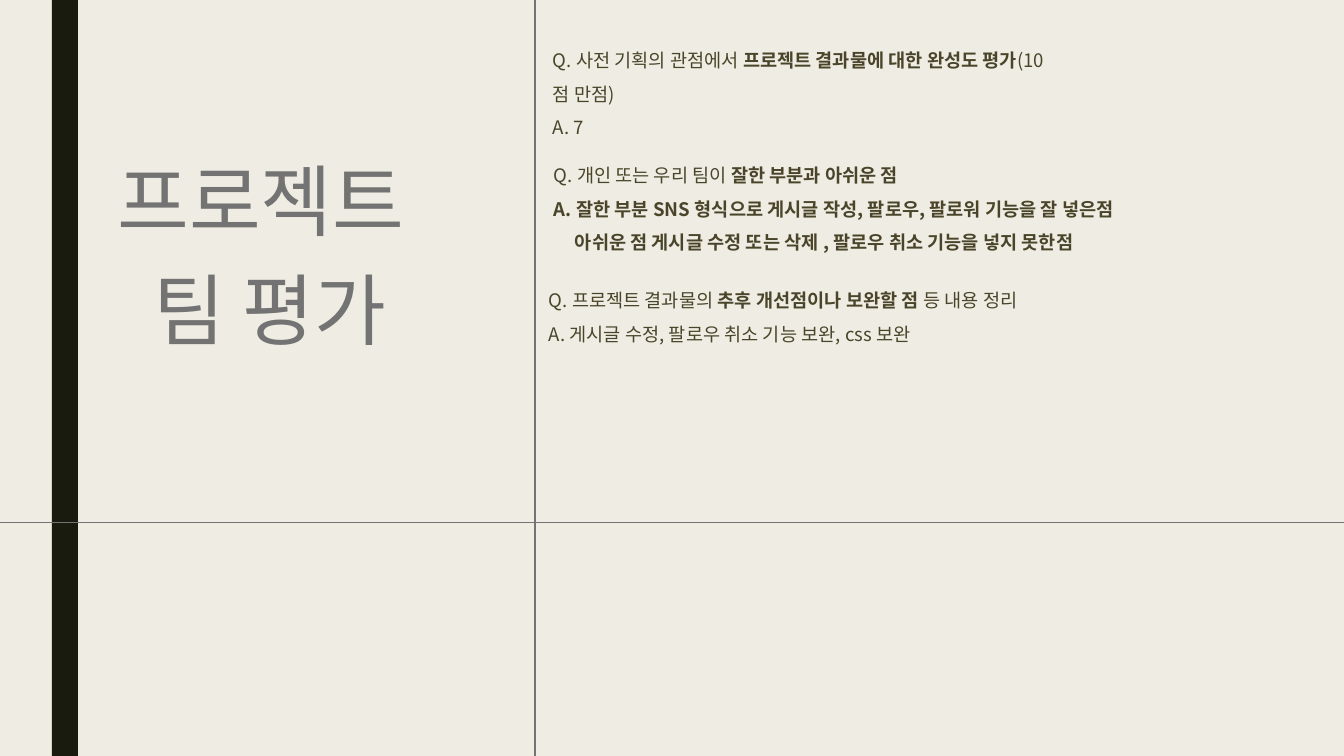
import pptx
import pptx.util
import pptx.dml.color
import pptx.enum.shapes
import pptx.enum.text
import pptx.oxml
import pptx.oxml.ns

WIDE, HIGH = 1344, 756
SCALE = 914400 / 100.8

THEME = {
    "back": "EFEDE3", "bar": "191B0E", "rule": "737373",
    "title": "737373", "body": "4A452A", "glow": "F2F2F2",
    "font": "Noto Sans CJK KR",
    "title_size": 55.7, "body_size": 13.3, "rule_size": 0.75,
}

# Each answer box: place, then paragraphs of (indent, runs of (text, bold))
NOTES = [
    ((543, 33, 513, 107), [
        (0, [("Q. 사전 기획의 관점에서 ", False),
             ("프로젝트 결과물에 대한 완성도 평가", True),
             ("(10점 만점)", False)]),
        (0, [("A. 7", False)]),
    ]),
    ((544, 148, 797, 108), [
        (0, [("Q. 개인 또는 우리 팀이 ", False),
             ("잘한 부분과 아쉬운 점", True)]),
        (0, [("A. 잘한 부분 SNS 형식으로 게시글 작성, 팔로우, "
              "팔로워 기능을 잘 넣은점", True)]),
        (21, [("아쉬운 점 게시글 수정 또는 삭제 , "
               "팔로우 취소 기능을 넣지 못한점", True)]),
    ]),
    ((539, 273, 721, 74), [
        (0, [("Q. 프로젝트 결과물의 ", False),
             ("추후 개선점이나 보완할 점 ", True),
             ("등 내용 정리", False)]),
        (0, [("A. 게시글 수정, 팔로우 취소 기능 보완, css 보완", False)]),
    ]),
]


def px(n):
    return pptx.util.Emu(round(n * SCALE))


def tint(name):
    return pptx.dml.color.RGBColor.from_string(THEME[name])


def apply(item, vals):
    for key, val in vals.items():
        setattr(item, key, val)


def add_run(para, text, kind, bold=False):
    run = para.add_run()
    run.text = text
    apply(run.font, {"name": THEME["font"], "bold": bold,
                     "size": pptx.util.Pt(THEME[kind + "_size"])})
    run.font.color.rgb = tint(kind)
    props = run.font._element
    east = pptx.oxml.parse_xml(
        f'<a:ea {pptx.oxml.ns.nsdecls("a")} typeface="{THEME["font"]}"/>')
    props.append(east)
    return props


def add_glow(props):
    # Faint outline around the letters
    props.insert(0, pptx.oxml.parse_xml(
        f'<a:ln {pptx.oxml.ns.nsdecls("a")} w="9525"><a:solidFill>'
        f'<a:srgbClr val="{THEME["glow"]}"><a:alpha val="20000"/></a:srgbClr>'
        '</a:solidFill></a:ln>'))


def add_rule(slide, x1, y1, x2, y2):
    line = slide.shapes.add_connector(
        pptx.enum.shapes.MSO_CONNECTOR.STRAIGHT,
        px(x1), px(y1), px(x2), px(y2))
    line.line.color.rgb = tint("rule")
    line.line.width = pptx.util.Pt(THEME["rule_size"])
    line._element.spPr.append(pptx.oxml.parse_xml(
        f'<a:effectLst {pptx.oxml.ns.nsdecls("a")}/>'))


def add_frame(slide, box):
    left, top, wide, high = box
    # Side bar
    bar = slide.shapes.add_shape(
        pptx.enum.shapes.MSO_SHAPE.RECTANGLE,
        px(left + 52), px(top), px(26), px(high))
    bar.shadow.inherit = False
    bar.fill.solid()
    bar.fill.fore_color.rgb = tint("bar")
    bar.line.fill.background()
    # Crossing rules
    add_rule(slide, left + 535, top, left + 535, top + high)
    add_rule(slide, left, top + 523, left + wide, top + 523)


def add_title(slide, box, lines):
    shape = slide.shapes.title
    apply(shape, dict(zip(("left", "top", "width", "height"), map(px, box))))
    frame = shape.text_frame
    apply(frame, {
        "margin_left": 0, "margin_top": 0,
        "margin_right": 0, "margin_bottom": 0, "word_wrap": True,
        "auto_size": pptx.enum.text.MSO_AUTO_SIZE.NONE,
        "vertical_anchor": pptx.enum.text.MSO_ANCHOR.TOP})
    for i, text in enumerate(lines):
        para = frame.add_paragraph() if i else frame.paragraphs[0]
        apply(para, {"alignment": pptx.enum.text.PP_ALIGN.CENTER,
                     "line_spacing": pptx.util.Pt(78)})
        add_run(para, text, "title")


def add_note(slide, box, paras):
    frame = slide.shapes.add_textbox(*map(px, box)).text_frame
    frame.word_wrap = True
    for i, (dent, runs) in enumerate(paras):
        para = frame.add_paragraph() if i else frame.paragraphs[0]
        para.line_spacing = 1.5
        if dent:
            para._p.get_or_add_pPr().set("marL", str(px(dent)))
        for text, bold in runs:
            add_glow(add_run(para, text, "body", bold))


def main():
    deck = pptx.Presentation()
    apply(deck, {"slide_width": px(WIDE), "slide_height": px(HIGH)})
    slide = deck.slides.add_slide(deck.slide_layouts[5])
    slide.background.fill.solid()
    slide.background.fill.fore_color.rgb = tint("back")
    add_frame(slide, (0, 0, WIDE, HIGH))
    add_title(slide, (9, 137, 521, 207), ["프로젝트 ", "팀 평가"])
    for box, paras in NOTES:
        add_note(slide, box, paras)
    deck.save("out.pptx")


if __name__ == "__main__":
    main()
